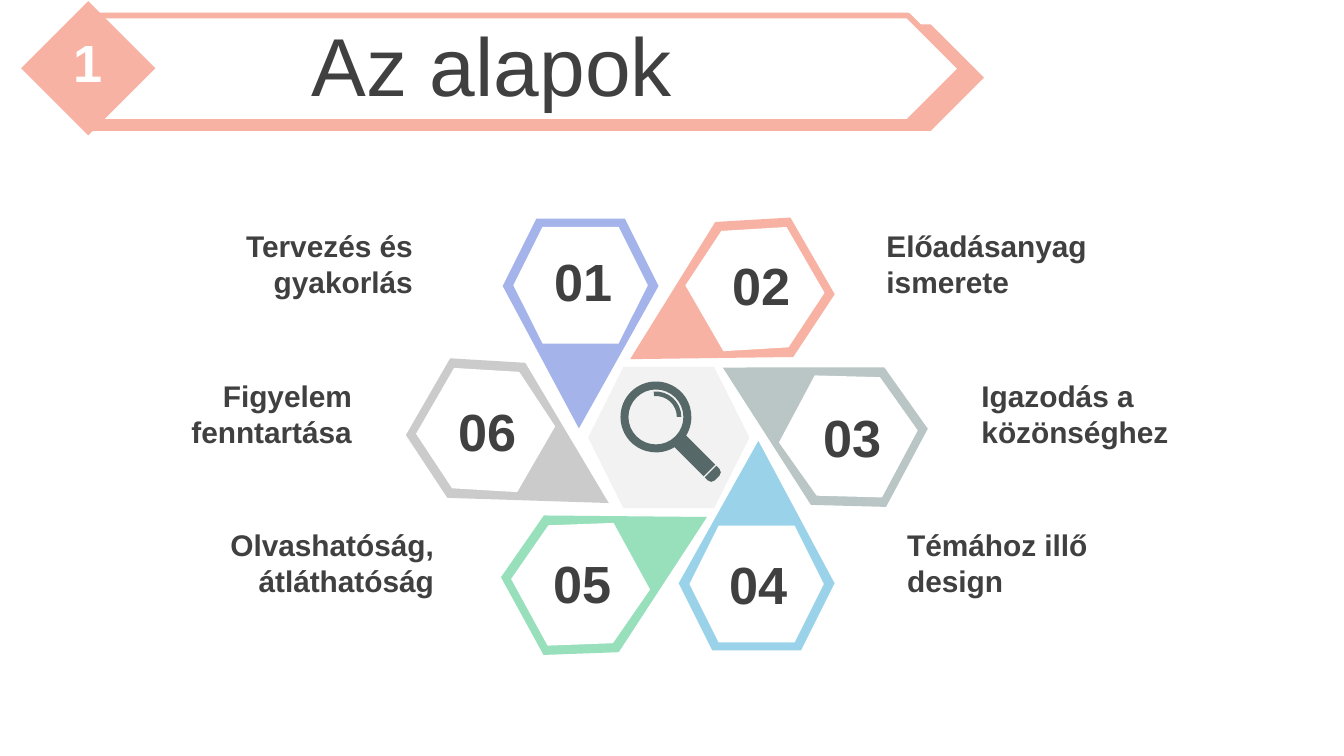
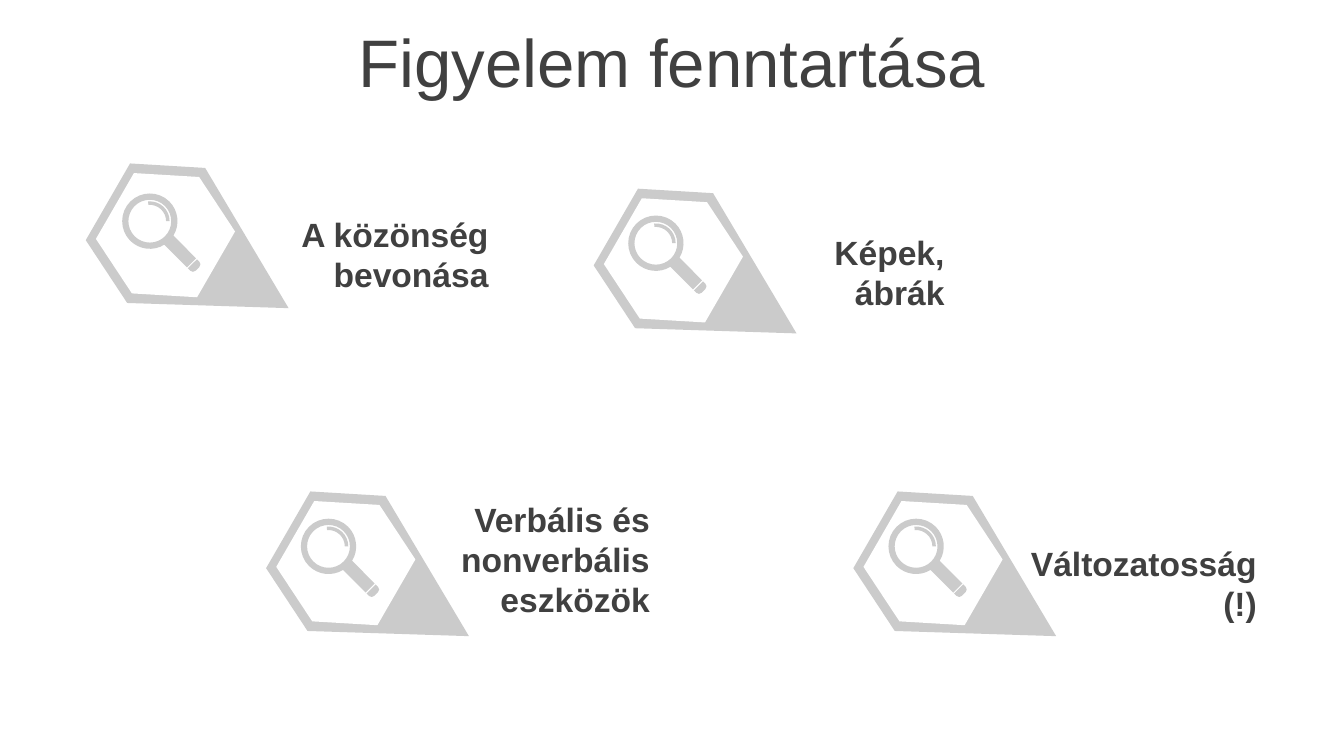
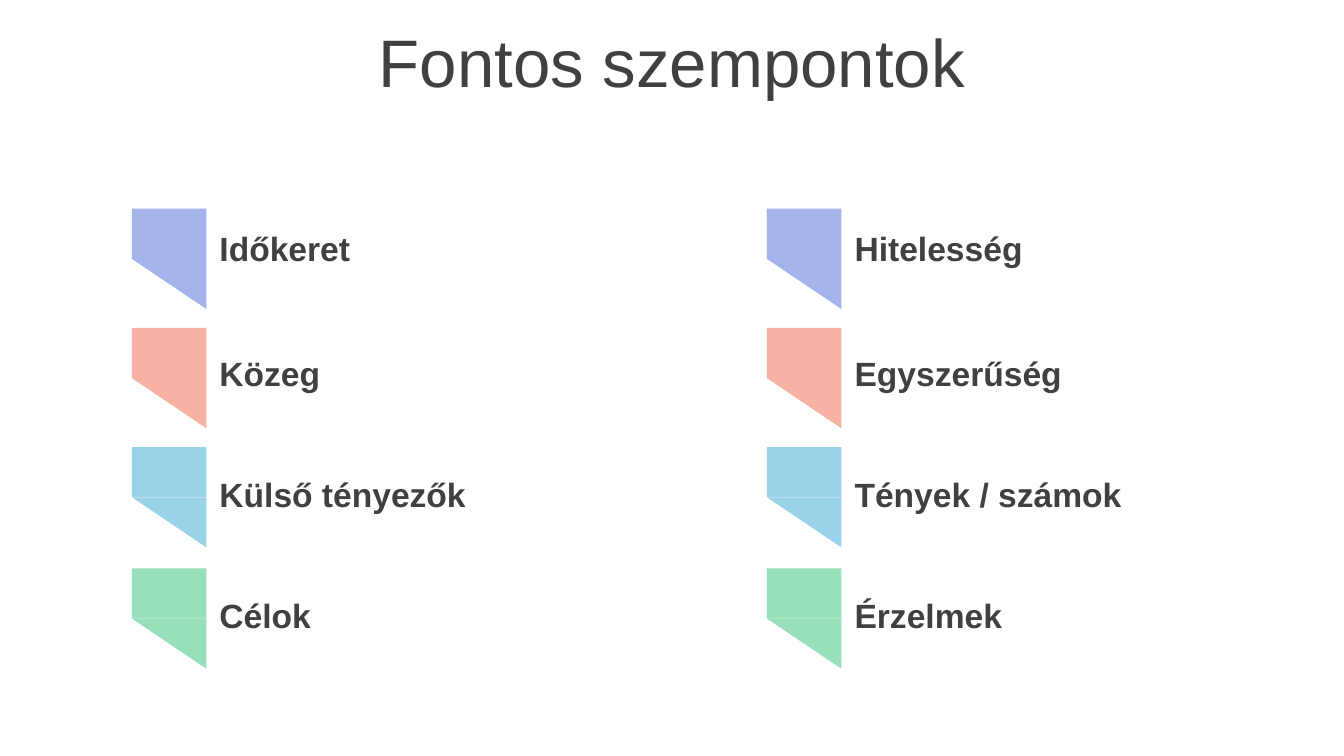
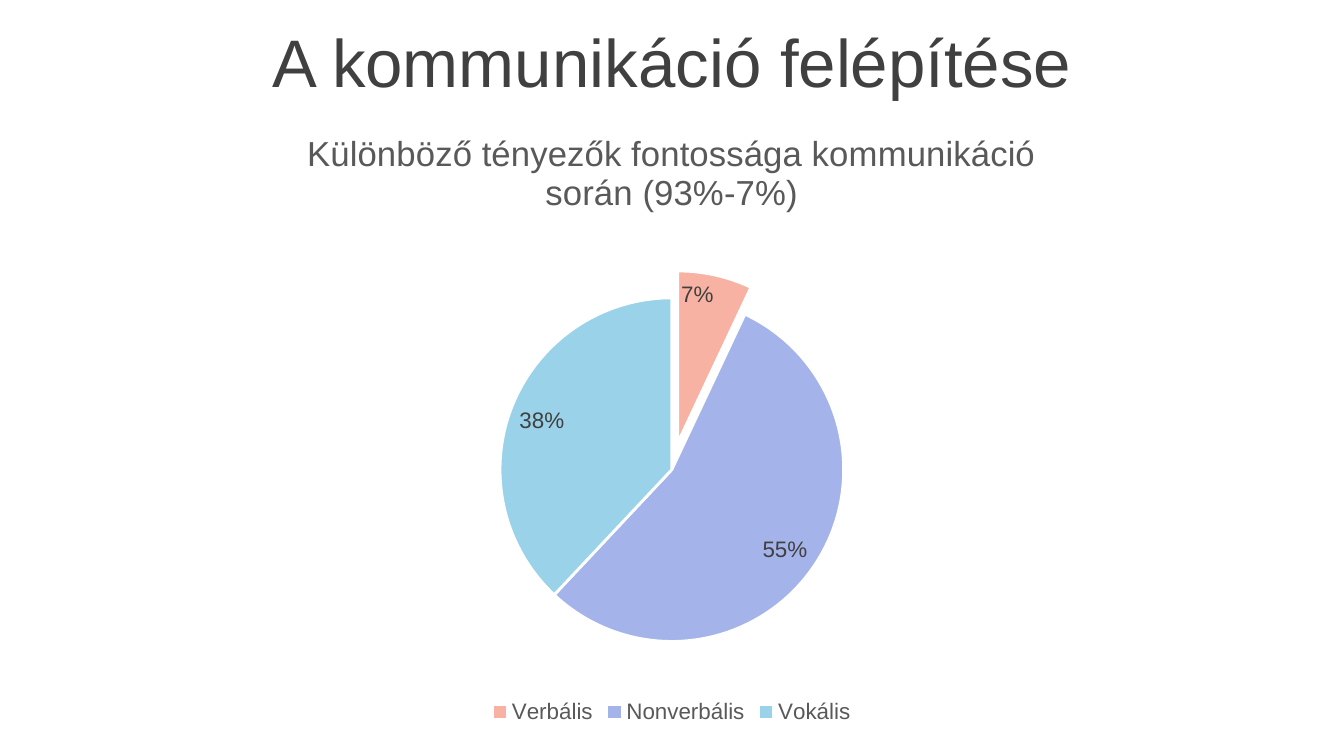
from dataclasses import dataclass
from math import asin, cos, degrees, radians, sin, tan

from lxml import etree
from pptx import Presentation
from pptx.chart.data import CategoryChartData
from pptx.dml.color import RGBColor
from pptx.enum.chart import XL_CHART_TYPE, XL_LABEL_POSITION as LabelPos, XL_LEGEND_POSITION as LegendPos
from pptx.enum.shapes import MSO_SHAPE as Preset
from pptx.enum.text import MSO_ANCHOR as Anchor, MSO_AUTO_SIZE as AutoSize, PP_ALIGN as Align
from pptx.oxml.ns import qn
from pptx.util import Pt

FONT = "Arial"
COLORS = {
    "periwinkle": "A4B4EA", "salmon": "F8B2A3", "sage": "BAC5C5",
    "sky": "9AD3E9", "mint": "98DFBB", "silver": "CBCBCB",
    "pale": "F2F2F2", "slate": "576868", "white": "FFFFFF",
    "ink": "404040", "muted": "595959",
}

Point = tuple[float, float]
Box = tuple[float, float, float, float]
Segment = list[Point]  # one point for a line, three for a cubic curve

PETAL_SIZE = (83.5, 112.3)
PETAL_OUTLINE = [(65.5, 112.3), (18, 112.3), (0, 76.3), (42.7, 0), (83.5, 76.3)]
HEXAGON_SIZE = (72, 62.6)
HEXAGON_SHIFT = 20.5  # from the petal's centre, away from its tip
MARKER_SIZE = (39.9, 26.9)


@dataclass
class Topic:
    number: str
    color: str
    petal: Point
    turn: float
    number_at: Point
    label: str
    label_at: Point
    label_width: float
    align: Align


@dataclass
class Method:
    label: str
    label_box: Box
    petal: Point
    lens: Point


@dataclass
class AspectRow:
    color: str
    marker_top: float
    label_top: float
    label_width: float
    labels: tuple[str, str]


TOPICS = [
    Topic("01", "periwinkle", (269.3, 117.2), 180, (289, 129.9),
          "Tervezés és gyakorlás", (76.3, 118.5), 151.9, Align.RIGHT),
    Topic("02", "salmon", (344.9, 109), 240, (384.5, 132.2),
          "Előadásanyag ismerete", (467.8, 118.5), 151.9, Align.LEFT),
    Topic("03", "sage", (394.6, 168), 298.1, (433.4, 213.4),
          "Igazodás a közönséghez", (518.7, 198.7), 164.2, Align.LEFT),
    Topic("04", "sky", (363.6, 236.2), 0, (383, 292.3),
          "Témához illő design", (478.9, 278.9), 151.9, Align.LEFT),
    Topic("05", "mint", (287.3, 247), 61.3, (288.7, 291.6),
          "Olvashatóság, átláthatóság", (59.6, 278.9), 180, Align.RIGHT),
    Topic("06", "silver", (236.2, 184.5), 120, (237.6, 210.2),
          "Figyelem fenntartása", (43.7, 198.7), 151.9, Align.RIGHT),
]

METHODS = [
    Method("A közönség bevonása", (133.4, 110.9, 135.4, 51), (64.7, 80.1), (80.3, 118.5)),
    Method("Képek, ábrák", (392.9, 120.7, 120.2, 51), (336.8, 93.6), (351.4, 130.3)),
    Method("Verbális és nonverbális eszközök", (218.4, 263.6, 136.8, 72.7),
           (161.3, 255.8), (176, 292.7)),
    Method("Változatosság\v(!)", (540.7, 287.3, 139.7, 51), (475.9, 255.8), (490.8, 292.7)),
]

ASPECT_COLUMNS = [70.7, 410.9]
ASPECT_ROWS = [
    AspectRow("periwinkle", 111.8, 118.8, 193, ("Időkeret", "Hitelesség")),
    AspectRow("salmon", 175.7, 185.8, 193, ("Közeg", "Egyszerűség")),
    AspectRow("sky", 239.5, 250.6, 226.8, ("Külső tényezők", "Tények / számok")),
    AspectRow("mint", 304.5, 315, 226.8, ("Célok", "Érzelmek")),
]

SHARES = [("Verbális", 0.07, "salmon"), ("Nonverbális", 0.55, "periwinkle"), ("Vokális", 0.38, "sky")]


def rgb(color: str) -> RGBColor:
    return RGBColor.from_string(COLORS[color])


def style_font(font, size: float, color: str, bold: bool = False) -> None:
    font.name, font.size, font.bold = FONT, Pt(size), bold
    font.color.rgb = rgb(color)


def paint(shape, color: str, turn: float = 0) -> None:
    """Flat fill without outline or shadow."""
    shape.shadow.inherit = False
    shape.fill.solid()
    shape.fill.fore_color.rgb = rgb(color)
    shape.line.fill.background()
    shape.rotation = turn % 360


def add_preset(shapes, preset: Preset, box: Box, color: str, turn: float = 0):
    shape = shapes.add_shape(preset, *map(Pt, box))
    paint(shape, color, turn)
    return shape


def bend_lines(shape, segments: list[Segment]) -> None:
    """Join the three lines drawn for each curve into one cubic curve."""
    lines = iter(list(shape._element.iter(qn("a:lnTo"))))
    for segment in segments:
        parts = [next(lines) for _ in segment]
        if len(parts) == 3:
            curve = etree.Element(qn("a:cubicBezTo"))
            parts[0].addprevious(curve)
            for part in parts:
                curve.append(part[0])
                part.getparent().remove(part)


def add_outline(shapes, contours: list[list[Segment]], origin: Point, color: str,
                turn: float = 0, scale: float = 1) -> None:
    """Closed contours in points around origin; inner contours become holes."""
    builder = None
    for (start,), *rest in contours:
        corner = Pt(start[0] * scale), Pt(start[1] * scale)
        if builder is None:
            builder = shapes.build_freeform(*corner)
        else:
            builder.move_to(*corner)
        builder.add_line_segments(
            [(Pt(x * scale), Pt(y * scale)) for segment in rest for x, y in segment], close=True)
    shape = builder.convert_to_shape(*map(Pt, origin))
    drawn = []
    for _, *rest in contours:
        drawn += rest
        if rest[-1][-1] != _[0]:
            drawn.append([_[0]])
    lines = len(list(shape._element.iter(qn("a:lnTo"))))
    if lines == sum(map(len, drawn)):
        bend_lines(shape, drawn)
    else:
        bend_lines(shape, [segment for _, *rest in contours for segment in rest])
    paint(shape, color, turn)


def add_text(slide, text: str, box: Box, size: float, color: str = "ink", bold: bool = True,
             align: Align = Align.LEFT, wrap: bool = True, anchor: Anchor = Anchor.TOP,
             fit: AutoSize = AutoSize.SHAPE_TO_FIT_TEXT) -> None:
    frame = slide.shapes.add_textbox(*map(Pt, box)).text_frame
    frame.text = text
    frame.word_wrap, frame.vertical_anchor, frame.auto_size = wrap, anchor, fit
    paragraph = frame.paragraphs[0]
    paragraph.alignment = align
    style_font(paragraph.font, size, color, bold)


def add_title(slide, text: str, box: Box = (0, 9.7, 720, 45.4), size: float = 36) -> None:
    add_text(slide, text, box, size, bold=False, align=Align.CENTER,
             anchor=Anchor.MIDDLE, fit=AutoSize.NONE)


def add_petal(slide, corner: Point, color: str, turn: float) -> None:
    shapes = slide.shapes.add_group_shape().shapes
    add_outline(shapes, [[[point] for point in PETAL_OUTLINE]], corner, color, turn)
    width, height = HEXAGON_SIZE
    center_x = corner[0] + PETAL_SIZE[0] / 2 - HEXAGON_SHIFT * sin(radians(turn))
    center_y = corner[1] + PETAL_SIZE[1] / 2 + HEXAGON_SHIFT * cos(radians(turn))
    add_preset(shapes, Preset.HEXAGON, (center_x - width / 2, center_y - height / 2, width, height),
               "white", turn + 180)


def arc(radius: float, *angles: float, center: Point = (0, 0)) -> list[Segment]:
    """Start point, then one cubic curve between each two angles in degrees."""
    def spot(angle: float, pull: float = 0) -> Point:
        a = radians(angle)
        return (center[0] + radius * (cos(a) - pull * sin(a)),
                center[1] + radius * (sin(a) + pull * cos(a)))

    segments = [[spot(angles[0])]]
    for start, end in zip(angles, angles[1:]):
        pull = 4 / 3 * tan(radians(end - start) / 4)
        segments.append([spot(start, pull), spot(end, -pull), spot(end)])
    return segments


def add_magnifier(slide, lens: Point, color: str, scale: float = 1) -> None:
    """Upright magnifier around its lens centre, then tilted to the left."""
    radius, half_grip, grip_end, cap_start, cap_end, bevel = 19, 4.4, 40.5, 41.4, 46.3, 2.6
    joint = degrees(asin(half_grip / radius))
    bevel_x, bevel_y = half_grip - bevel, cap_end - bevel
    contours = [
        arc(radius, 90 + joint, 180, 270, 360, 450 - joint) + [[(half_grip, grip_end)], [(-half_grip, grip_end)]],
        arc(14.7, 360, 270, 180, 90, 0),
        arc(13.6, -50, 45) + arc(11.2, 45, -50),
        [[(-half_grip, cap_start)], [(half_grip, cap_start)]]
        + arc(bevel, 0, 90, center=(bevel_x, bevel_y)) + arc(bevel, 90, 180, center=(-bevel_x, bevel_y)),
    ]
    middle = (cap_end - radius) / 2 * scale
    tilt = radians(45)
    origin = (lens[0] + middle * sin(tilt), lens[1] + middle * cos(tilt) - middle)
    add_outline(slide.shapes, contours, origin, color, 315, scale)


def add_section_banner(slide, number: str, title: str) -> None:
    shapes = slide.shapes.add_group_shape().shapes
    add_preset(shapes, Preset.PENTAGON, (49, 13.1, 478.2, 57), "salmon")
    front = add_preset(shapes, Preset.PENTAGON, (49, 8.3, 465.9, 57), "white")
    front.line.color.rgb = rgb("salmon")
    front.line.width = Pt(3)
    add_preset(shapes, Preset.DIAMOND, (11.3, 0.6, 72, 72), "salmon")
    add_title(slide, title, (-16.6, 11.5, 560.2, 45.4), 44)
    add_text(slide, number, (31.3, 12.6, 31.7, 41), 28, "white", align=Align.CENTER, anchor=Anchor.MIDDLE)


def build_basics(slide) -> None:
    add_section_banner(slide, "1", "Az alapok")
    add_preset(slide.shapes, Preset.HEXAGON, (315.1, 196.6, 86.4, 75.6), "pale")
    for topic in TOPICS:
        add_petal(slide, topic.petal, topic.color, topic.turn)
    for topic in TOPICS:
        add_text(slide, topic.number, (*topic.number_at, 46.1, 41), 28, align=Align.RIGHT, wrap=False)
        add_text(slide, topic.label, (*topic.label_at, topic.label_width, 46.1), 16, align=topic.align)
    add_magnifier(slide, (351.4, 223.4), "slate")


def build_attention(slide) -> None:
    add_title(slide, "Figyelem fenntartása")
    for method in METHODS:
        add_petal(slide, method.petal, "silver", 120)
        add_text(slide, method.label, method.label_box, 18, align=Align.RIGHT)
        add_magnifier(slide, method.lens, "silver", 0.78)


def add_marker(slide, left: float, top: float, color: str) -> None:
    width, height = MARKER_SIZE
    shapes = slide.shapes.add_group_shape().shapes
    add_preset(shapes, Preset.RECTANGLE, (left, top, width, height), color)
    tail = add_preset(shapes, Preset.ISOSCELES_TRIANGLE, (left, top + height, width, height), color, 180)
    tail.adjustments[0] = 0


def build_aspects(slide) -> None:
    add_title(slide, "Fontos szempontok")
    for row in ASPECT_ROWS:
        for left, label in zip(ASPECT_COLUMNS, row.labels):
            add_marker(slide, left, row.marker_top, row.color)
            add_text(slide, label, (left + 39.8, row.label_top, row.label_width, 28.8), 18)


def set_plot_layout(chart, **fractions: float) -> None:
    """Fix the inner plot area as fractions of the chart."""
    plot_area = chart._chartSpace.chart.plotArea
    for old in plot_area.findall(qn("c:layout")):
        plot_area.remove(old)
    layout = etree.Element(qn("c:layout"))
    manual = etree.SubElement(layout, qn("c:manualLayout"))
    settings = {"layoutTarget": "inner", "xMode": "edge", "yMode": "edge", **fractions}
    for tag, value in settings.items():
        etree.SubElement(manual, qn(f"c:{tag}")).set("val", str(value))
    plot_area.insert(0, layout)


def explode_slice(series, index: int, percent: int) -> None:
    for point in series._element.findall(qn("c:dPt")):
        if point.find(qn("c:idx")).get("val") == str(index):
            explosion = etree.Element(qn("c:explosion"))
            explosion.set("val", str(percent))
            point.find(qn("c:spPr")).addprevious(explosion)


def build_communication(slide) -> None:
    add_title(slide, "A kommunikáció felépítése")
    data = CategoryChartData(number_format="0%")
    data.categories = [name for name, _, _ in SHARES]
    data.add_series("Series 1", [share for _, share, _ in SHARES])
    chart = slide.shapes.add_chart(XL_CHART_TYPE.PIE, *map(Pt, (101.1, 55.8, 517.7, 334.8)), data).chart
    style_font(chart.font, 10, "ink")

    chart.has_title = True
    heading = chart.chart_title.text_frame
    heading.text = "Különböző tényezők fontossága kommunikáció során (93%-7%)"
    style_font(heading.paragraphs[0].font, 18.6, "muted")
    chart.chart_title.include_in_layout = False

    chart.has_legend = True
    chart.legend.position = LegendPos.BOTTOM
    chart.legend.include_in_layout = False
    style_font(chart.legend.font, 12, "muted")

    pie = chart.plots[0]
    pie.vary_by_categories = True
    series = pie.series[0]
    for index, (_, _, color) in enumerate(SHARES):
        slice_format = series.points[index].format
        slice_format.fill.solid()
        slice_format.fill.fore_color.rgb = rgb(color)
        slice_format.line.color.rgb = rgb("white")
        slice_format.line.width = Pt(1.5)
    explode_slice(series, 0, 16)

    labels = series.data_labels
    labels.show_value = True
    labels.show_percentage = False
    labels.number_format, labels.number_format_is_linked = "0%", False
    labels.position = LabelPos.INSIDE_END
    style_font(labels.font, 12, "ink")
    set_plot_layout(chart, x=0.32, y=0.31, w=0.36, h=0.55)


def main() -> None:
    presentation = Presentation()
    presentation.slide_width, presentation.slide_height = Pt(720), Pt(405)
    blank = presentation.slide_layouts[6]
    for build in (build_basics, build_attention, build_aspects, build_communication):
        build(presentation.slides.add_slide(blank))
    presentation.save("out.pptx")


if __name__ == "__main__":
    main()
